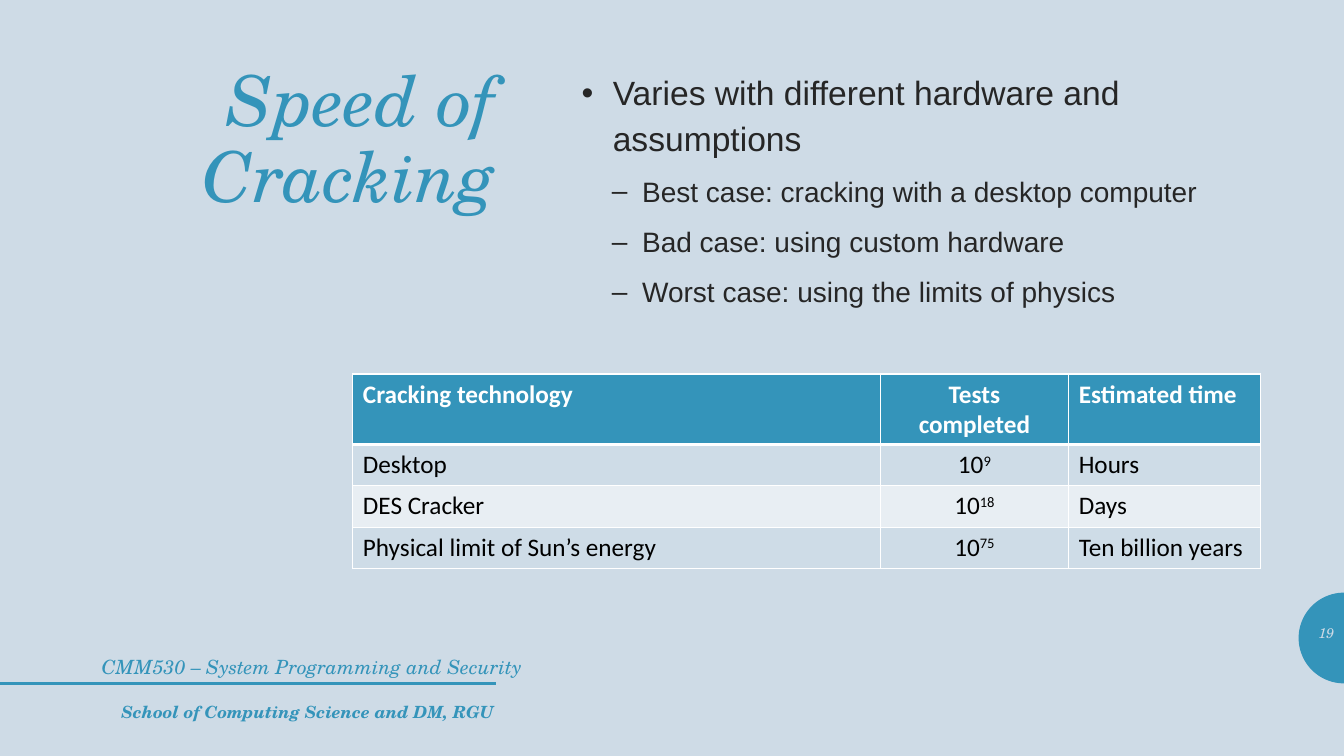
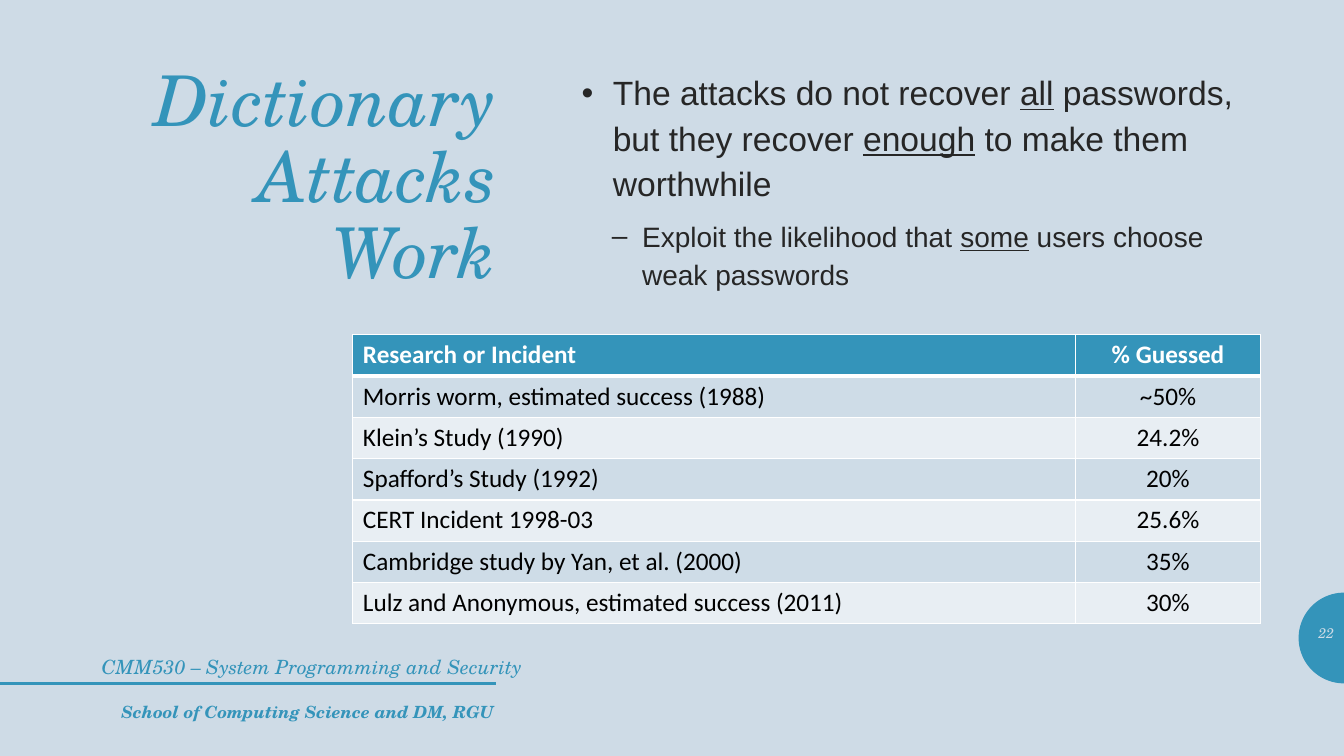
"""Build two lecture slides on password cracking, each with bullets and a table."""
import math
from dataclasses import dataclass

from lxml import etree
from pptx import Presentation
from pptx.dml.color import RGBColor
from pptx.enum.shapes import MSO_CONNECTOR
from pptx.enum.text import MSO_ANCHOR, PP_ALIGN
from pptx.oxml.ns import qn
from pptx.util import Inches, Pt

LEFT, CENTER, RIGHT = PP_ALIGN.LEFT, PP_ALIGN.CENTER, PP_ALIGN.RIGHT
TOP, MIDDLE = MSO_ANCHOR.TOP, MSO_ANCHOR.MIDDLE
STRAIGHT = MSO_CONNECTOR.STRAIGHT

BACKGROUND = RGBColor(0xCE, 0xDB, 0xE6)
ACCENT = RGBColor(0x34, 0x94, 0xBA)
INK = RGBColor(0x26, 0x26, 0x26)
BLACK = RGBColor(0, 0, 0)
WHITE = RGBColor(0xFF, 0xFF, 0xFF)
ROW_FILLS = (RGBColor(0xCE, 0xDC, 0xE7), RGBColor(0xE8, 0xEE, 0xF3))

SERIF, SANS, TABLE_FONT = "TeX Gyre Schola", "Arial", "Calibri"
PAGE_WIDTH, PAGE_HEIGHT = 13.33, 7.5
TABLE_LEFT, ROW_HEIGHT = 3.5, 0.41
RULE_TOP, RULE_WIDTH = 6.78, 4.92
DISC_RADIUS, DISC_STEPS = 0.45, 48


@dataclass(frozen=True)
class Level:
    """Format of one bullet level."""
    mark: str
    indent: float
    hanging: float
    size: int


@dataclass(frozen=True)
class Column:
    """Width and alignment of one table column."""
    width: float
    align: PP_ALIGN = LEFT


@dataclass(frozen=True)
class Lesson:
    """Content of one slide; _x_ underlines x and ^x^ raises it."""
    number: int
    title: str
    bullets: tuple[tuple[int, str], ...]
    table_top: float
    columns: tuple[Column, ...]
    rows: tuple[tuple[str, ...], ...]


LEVELS = (Level("•", 0.31, 0.31, 24), Level("–", 0.6, 0.3, 20))

LESSONS = (
    Lesson(
        19,
        "Speed of Cracking",
        (
            (0, "Varies with different hardware and assumptions"),
            (1, "Best case: cracking with a desktop computer"),
            (1, "Bad case: using custom hardware"),
            (1, "Worst case: using the limits of physics"),
        ),
        3.71,
        (Column(5.23), Column(1.87, CENTER), Column(1.9)),
        (
            ("Cracking technology", "Tests completed", "Estimated time"),
            ("Desktop", "10^9^", "Hours"),
            ("DES Cracker", "10^18^", "Days"),
            ("Physical limit of Sun’s energy", "10^75^", "Ten billion years"),
        ),
    ),
    Lesson(
        22,
        "Dictionary Attacks Work",
        (
            (0, "The attacks do not recover _all_ passwords, "
                "but they recover _enough_ to make them worthwhile"),
            (1, "Exploit the likelihood that _some_ users choose weak passwords"),
        ),
        3.32,
        (Column(7.17), Column(1.83, CENTER)),
        (
            ("Research or Incident", "% Guessed"),
            ("Morris worm, estimated success (1988)", "~50%"),
            ("Klein’s Study (1990)", "24.2%"),
            ("Spafford’s Study (1992)", "20%"),
            ("CERT Incident 1998-03", "25.6%"),
            ("Cambridge study by Yan, et al. (2000)", "35%"),
            ("Lulz and Anonymous, estimated success (2011)", "30%"),
        ),
    ),
)


def write_text(para, text: str, *, size: int, font: str, color: RGBColor,
               align: PP_ALIGN = LEFT, bold: bool = False, italic: bool = False,
               spacing: float | None = None) -> None:
    """Fill a paragraph with marked-up text in one format."""
    para.alignment = align
    if spacing:
        para.line_spacing = spacing
    for part_index, part in enumerate(text.split("_")):
        for piece_index, piece in enumerate(part.split("^")):
            if not piece:
                continue
            span = para.add_run()
            span.text = piece
            span.font.size = Pt(size)
            span.font.name = font
            span.font.color.rgb = color
            span.font.bold = bold
            span.font.italic = italic
            if part_index % 2:
                span.font.underline = True
            if piece_index % 2:
                span._r.get_or_add_rPr().set("baseline", "30000")


def add_box(page, left: float, top: float, width: float, height: float,
            anchor: MSO_ANCHOR = TOP):
    """Add a wrapping text box and return its text frame."""
    box = page.shapes.add_textbox(Inches(left), Inches(top), Inches(width), Inches(height))
    frame = box.text_frame
    frame.word_wrap = True
    frame.vertical_anchor = anchor
    return frame


def add_half_disc(page) -> None:
    """Draw the half disc at the right edge behind the page number."""
    center_top = RULE_TOP - DISC_RADIUS
    angles = [math.pi * (0.5 + step / DISC_STEPS) for step in range(DISC_STEPS + 1)]
    points = [(Inches(PAGE_WIDTH + DISC_RADIUS * math.cos(angle)),
               Inches(center_top + DISC_RADIUS * math.sin(angle))) for angle in angles]
    builder = page.shapes.build_freeform(*points[0])
    builder.add_line_segments(points[1:], close=True)
    disc = builder.convert_to_shape()
    disc.shadow.inherit = False
    disc.fill.solid()
    disc.fill.fore_color.rgb = ACCENT
    disc.line.fill.background()


def add_frame(page) -> None:
    """Draw the background, half disc, rule and footers that all slides share."""
    page.background.fill.solid()
    page.background.fill.fore_color.rgb = BACKGROUND
    add_half_disc(page)
    rule = page.shapes.add_connector(
        STRAIGHT, 0, Inches(RULE_TOP), Inches(RULE_WIDTH), Inches(RULE_TOP))
    rule.line.color.rgb = ACCENT
    rule.line.width = Pt(2)
    etree.SubElement(rule._element.spPr, qn("a:effectLst"))
    course = add_box(page, 0.38, 6.45, 4.9, 0.4)
    write_text(course.paragraphs[0], "CMM530 – System Programming and Security",
               size=14, font=SERIF, color=ACCENT, align=RIGHT, italic=True)
    school = add_box(page, 0.83, 6.91, 4.17, 0.4)
    write_text(school.paragraphs[0], "School of Computing Science and DM, RGU",
               size=12, font=SERIF, color=ACCENT, align=RIGHT, bold=True, italic=True)


def add_bullets(page, bullets: tuple[tuple[int, str], ...]) -> None:
    """Write the bullet list at the right of the title."""
    frame = add_box(page, 5.67, 0.62, 6.83, 6.18)
    for index, (depth, text) in enumerate(bullets):
        level = LEVELS[depth]
        para = frame.add_paragraph() if index else frame.paragraphs[0]
        para.level = depth
        properties = para._p.get_or_add_pPr()
        properties.set("marL", str(Inches(level.indent)))
        properties.set("indent", str(-Inches(level.hanging)))
        etree.SubElement(properties, qn("a:buFont"), typeface=SANS)
        etree.SubElement(properties, qn("a:buChar"), char=level.mark)
        if index:
            para.space_before = Pt(9)
        write_text(para, text, size=level.size, font=SANS, color=INK, spacing=1.12)


def set_borders(cell, top: int, bottom: int) -> None:
    """Give a cell white borders, with top and bottom widths in points."""
    properties = cell._tc.get_or_add_tcPr()
    widths = {"a:lnL": 1, "a:lnR": 1, "a:lnT": top, "a:lnB": bottom}
    for index, (tag, width) in enumerate(widths.items()):
        border = etree.Element(qn(tag), w=str(Pt(width)))
        fill = etree.SubElement(border, qn("a:solidFill"))
        etree.SubElement(fill, qn("a:srgbClr"), val=str(WHITE))
        properties.insert(index, border)


def add_data_table(page, lesson: Lesson) -> None:
    """Add the table with an accent header and banded rows."""
    width = sum(column.width for column in lesson.columns)
    table = page.shapes.add_table(
        len(lesson.rows), len(lesson.columns), Inches(TABLE_LEFT), Inches(lesson.table_top),
        Inches(width), Inches(ROW_HEIGHT * len(lesson.rows))).table
    for column_index, column in enumerate(lesson.columns):
        table.columns[column_index].width = Inches(column.width)
    for row_index, texts in enumerate(lesson.rows):
        table.rows[row_index].height = Inches(ROW_HEIGHT)
        header = row_index == 0
        for column_index, text in enumerate(texts):
            cell = table.cell(row_index, column_index)
            cell.fill.solid()
            cell.fill.fore_color.rgb = ACCENT if header else ROW_FILLS[(row_index - 1) % 2]
            set_borders(cell, top=3 if row_index == 1 else 1, bottom=3 if header else 1)
            write_text(cell.text_frame.paragraphs[0], text, size=18, font=TABLE_FONT,
                       color=WHITE if header else BLACK, bold=header,
                       align=lesson.columns[column_index].align)


def add_lesson(deck, lesson: Lesson) -> None:
    """Add one complete slide."""
    page = deck.slides.add_slide(deck.slide_layouts[6])
    add_frame(page)
    title = add_box(page, 0.83, 0.61, 4.19, 5.42)
    write_text(title.paragraphs[0], lesson.title, size=50, font=SERIF, color=ACCENT,
               align=RIGHT, italic=True, spacing=0.9)
    add_bullets(page, lesson.bullets)
    add_data_table(page, lesson)
    number = add_box(page, PAGE_WIDTH - DISC_RADIUS, 6.03, DISC_RADIUS, 0.5, MIDDLE)
    write_text(number.paragraphs[0], str(lesson.number), size=10, font=SERIF,
               color=BACKGROUND, align=RIGHT, italic=True)


def main() -> None:
    """Build and save the deck."""
    deck = Presentation()
    deck.slide_width = Inches(PAGE_WIDTH)
    deck.slide_height = Inches(PAGE_HEIGHT)
    for lesson in LESSONS:
        add_lesson(deck, lesson)
    deck.save("out.pptx")


if __name__ == "__main__":
    main()
